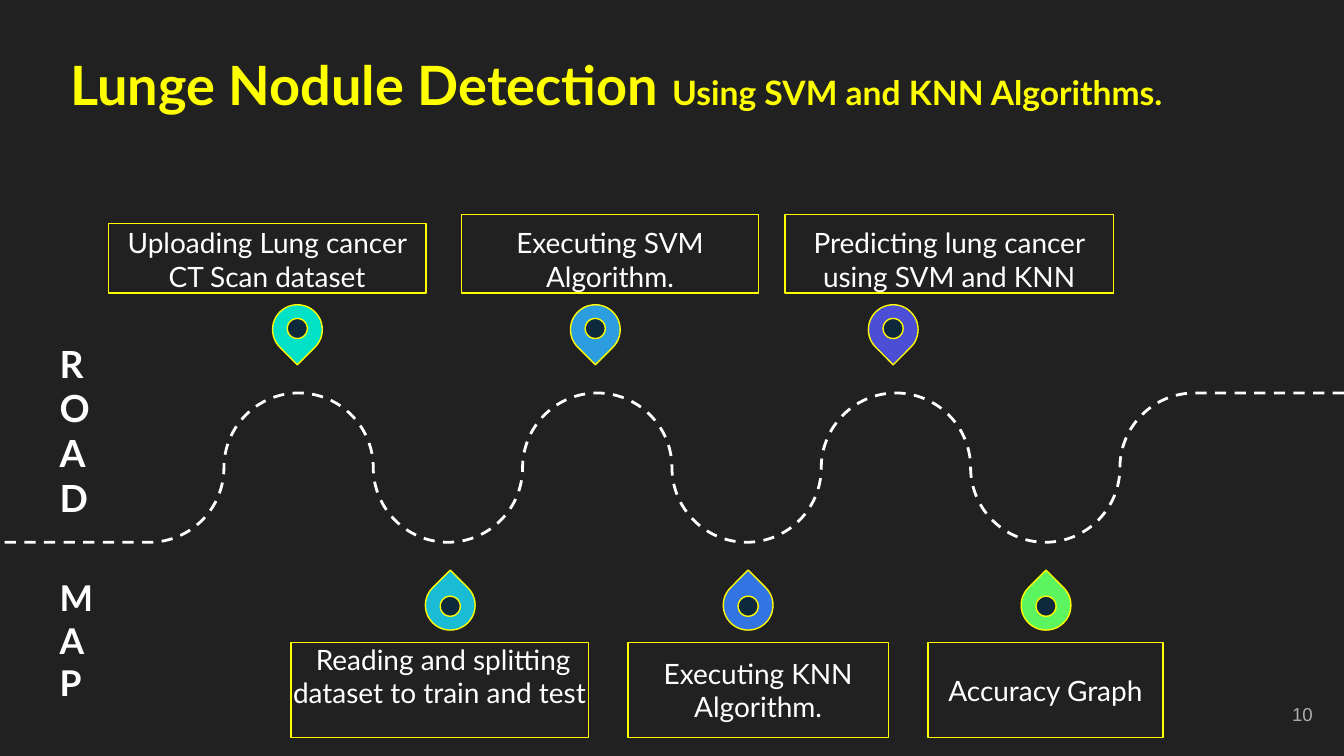
from dataclasses import dataclass

from lxml.etree import SubElement
from pptx import Presentation
from pptx.dml.color import RGBColor
from pptx.enum.dml import MSO_LINE
from pptx.enum.shapes import MSO_SHAPE as Preset
from pptx.enum.text import MSO_ANCHOR as Anchor, MSO_AUTO_SIZE as AutoSize, PP_ALIGN as Align
from pptx.oxml.ns import qn
from pptx.util import Cm, Pt


@dataclass(frozen=True)
class Theme:
    background: str = "212121"
    accent: str = "FFFF00"
    text: str = "FFFFFF"
    hole: str = "0E293C"
    muted: str = "ADADAD"
    font: str = "Lato"
    small_font: str = "Arial"
    title_size: float = 29
    subtitle_size: float = 18
    step_size: float = 15
    road_size: float = 20
    map_size: float = 19
    number_size: float = 10


@dataclass(frozen=True)
class Step:
    text: str
    left: float
    top: float
    width: float
    height: float
    anchor: Anchor


@dataclass(frozen=True)
class Pin:
    left: float
    top: float
    color: str
    rotation: int
    hole_drop: float


THEME = Theme()
WIDTH, HEIGHT = 25.4, 14.29
PIN_PITCH = 5.63
ROAD_MIDDLE = 8.84
BEND = WIDTH / 9
RADIUS = BEND / 2
ARC_PULL = 0.55

STEPS = [
    Step("Uploading Lung cancer CT Scan dataset", 2.05, 4.22, 6.0, 1.32, Anchor.BOTTOM),
    Step("Executing SVM Algorithm.", 8.72, 4.06, 5.62, 1.48, Anchor.BOTTOM),
    Step("Predicting lung cancer using SVM and KNN", 14.84, 4.06, 6.2, 1.48, Anchor.BOTTOM),
    Step(" Reading and splitting dataset to train and test", 5.5, 12.14, 5.62, 1.8, Anchor.TOP),
    Step("Executing KNN Algorithm.", 11.87, 12.14, 4.92, 1.8, Anchor.MIDDLE),
    Step("Accuracy Graph", 17.54, 12.14, 4.44, 1.8, Anchor.MIDDLE),
]
UPPER_PINS = [
    Pin(5.15 + PIN_PITCH * index, 5.76, color, 135, 0.26)
    for index, color in enumerate(["00E1C6", "2C9DDE", "4C4ED5"])
]
LOWER_PINS = [
    Pin(8.04 + PIN_PITCH * index, 10.97, color, 315, 0.3)
    for index, color in enumerate(["19BBD5", "3274E1", "5CF55F"])
]


def add_span(para, text: str, *, size: float, color: str = THEME.text,
             font: str = THEME.font, bold: bool = False) -> None:
    span = para.add_run()
    span.text = text
    span.font.name = font
    span.font.size = Pt(size)
    span.font.bold = bold
    span.font.color.rgb = RGBColor.from_string(color)


def write(box, *lines: str, align: Align = Align.LEFT, anchor: Anchor = Anchor.TOP,
          inset: float = 0.25, **style) -> None:
    frame = box.text_frame
    frame.word_wrap = True
    frame.auto_size = AutoSize.NONE
    frame.vertical_anchor = anchor
    frame.margin_left = frame.margin_right = Cm(inset)
    frame.margin_top = frame.margin_bottom = Cm(inset)
    for index, line in enumerate(lines):
        para = frame.add_paragraph() if index else frame.paragraphs[0]
        para.alignment = align
        for part_index, part in enumerate(line.split("\n")):
            if part_index:
                para.add_line_break()
            add_span(para, part, **style)


def add_text(page, bounds: tuple, *lines: str, **style) -> None:
    write(page.shapes.add_textbox(*map(Cm, bounds)), *lines, **style)


def add_outlined(shapes, preset: Preset, bounds: tuple, fill: str = ""):
    box = shapes.add_shape(preset, *map(Cm, bounds))
    box.shadow.inherit = False
    if fill:
        box.fill.solid()
        box.fill.fore_color.rgb = RGBColor.from_string(fill)
    else:
        box.fill.background()
    box.line.color.rgb = RGBColor.from_string(THEME.accent)
    box.line.width = Pt(0.75)
    return box


def road_points() -> list:
    points = [(0, ROAD_MIDDLE + RADIUS)]
    for bend in range(1, 9):
        side = 1 if bend % 2 else -1
        points.append((BEND * bend, ROAD_MIDDLE + side * RADIUS))
        if bend < 8:
            points.append((BEND * bend + RADIUS, ROAD_MIDDLE))
    points.append((WIDTH, ROAD_MIDDLE - RADIUS))
    return [(Cm(x), Cm(y)) for x, y in reversed(points)]


def round_corners(road) -> None:
    segments = list(road.element.iter(qn("a:moveTo"), qn("a:lnTo")))
    stops = [(int(segment[0].get("x")), int(segment[0].get("y"))) for segment in segments]
    for index in range(2, len(segments) - 1):
        (x0, y0), (x1, y1) = stops[index - 1], stops[index]
        pull_x, pull_y = ARC_PULL * (x1 - x0), ARC_PULL * (y1 - y0)
        if index % 2 == 0:
            controls = [(x0 + pull_x, y0), (x1, y1 - pull_y)]
        else:
            controls = [(x0, y0 + pull_y), (x1 - pull_x, y1)]
        segment = segments[index]
        curve = SubElement(segment.getparent(), qn("a:cubicBezTo"))
        for x, y in [*controls, (x1, y1)]:
            SubElement(curve, qn("a:pt"), x=str(round(x)), y=str(round(y)))
        segment.getparent().replace(segment, curve)


def add_road(page) -> None:
    start, *rest = road_points()
    builder = page.shapes.build_freeform(*start)
    builder.add_line_segments(rest, close=False)
    road = builder.convert_to_shape()
    round_corners(road)
    road.shadow.inherit = False
    road.fill.background()
    road.line.color.rgb = RGBColor.from_string(THEME.text)
    road.line.width = Pt(1.5)
    road.line.dash_style = MSO_LINE.DASH


def add_pin(page, pin: Pin) -> None:
    group = page.shapes.add_group_shape()
    drop = add_outlined(group.shapes, Preset.TEAR, (pin.left, pin.top, 0.94, 0.94), pin.color)
    drop.rotation = pin.rotation
    add_outlined(group.shapes, Preset.OVAL,
                 (pin.left + 0.28, pin.top + pin.hole_drop, 0.38, 0.38), THEME.hole)


def add_step(page, step: Step) -> None:
    box = add_outlined(page.shapes, Preset.RECTANGLE,
                       (step.left, step.top, step.width, step.height))
    write(box, step.text, align=Align.CENTER, anchor=step.anchor, inset=0, size=THEME.step_size)


def add_title(page) -> None:
    title = page.shapes.title
    title.left, title.top, title.width, title.height = map(Cm, (1.08, 0.72, 23.09, 5.54))
    write(title, "Lunge Nodule Detection ", size=THEME.title_size, color=THEME.accent, bold=True)
    add_span(title.text_frame.paragraphs[0], "Using SVM and KNN Algorithms.",
             size=THEME.subtitle_size, color=THEME.accent, bold=True)


def main() -> None:
    deck = Presentation()
    deck.slide_width, deck.slide_height = Cm(WIDTH), Cm(HEIGHT)
    page = deck.slides.add_slide(deck.slide_layouts[5])
    page.background.fill.solid()
    page.background.fill.fore_color.rgb = RGBColor.from_string(THEME.background)

    add_title(page)
    add_road(page)
    for pin in UPPER_PINS + LOWER_PINS:
        add_pin(page, pin)
    for step in STEPS:
        add_step(page, step)
    add_text(page, (0.88, 6.19, 1.73, 4.8), *"ROAD", size=THEME.road_size, bold=True)
    add_text(page, (0.88, 10.64, 1.73, 3.6), "M", "A\nP", size=THEME.map_size, bold=True)
    add_text(page, (23.54, 12.95, 1.52, 1.09), "10", align=Align.RIGHT, anchor=Anchor.MIDDLE,
             size=THEME.number_size, color=THEME.muted, font=THEME.small_font)
    deck.save("out.pptx")


if __name__ == "__main__":
    main()
